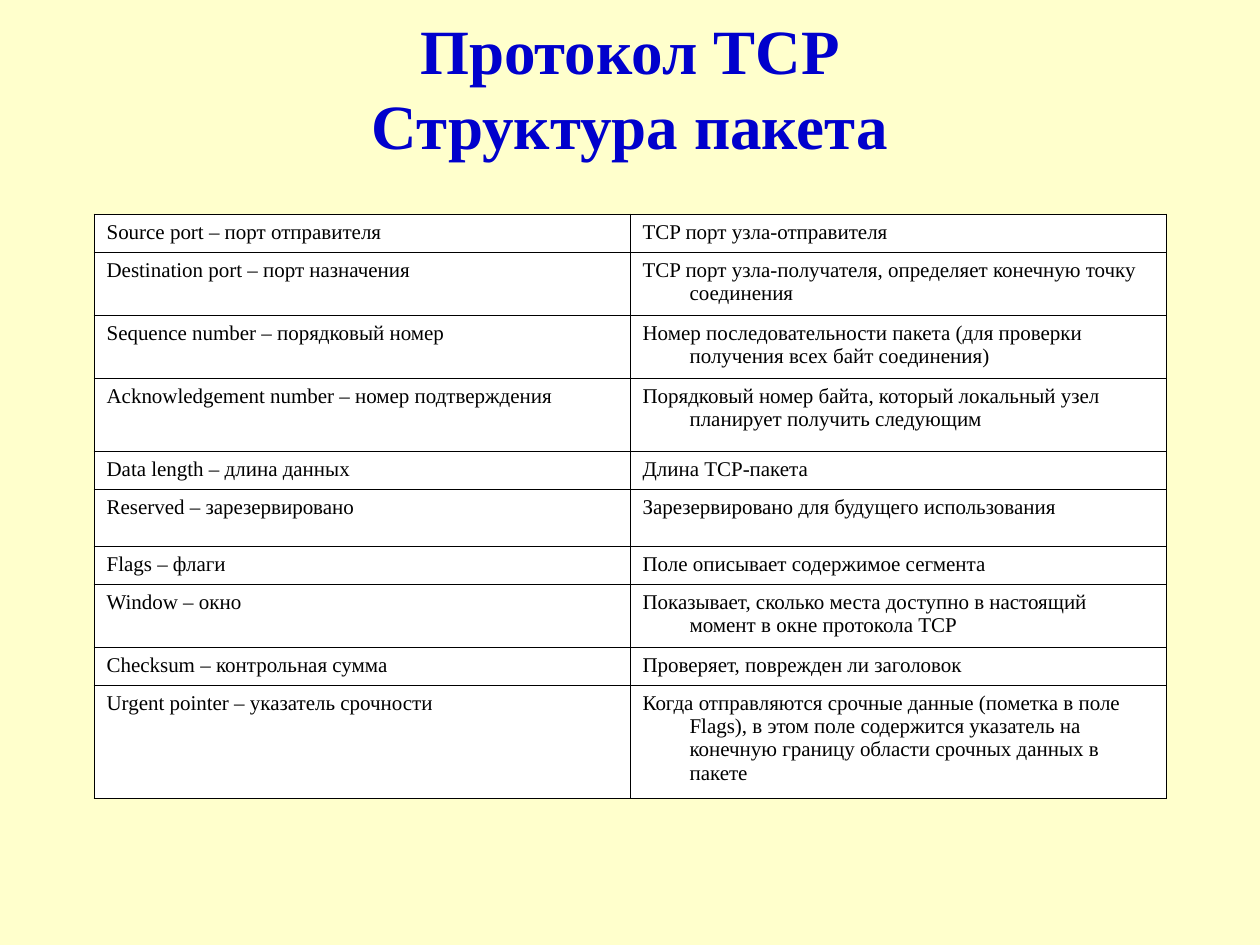
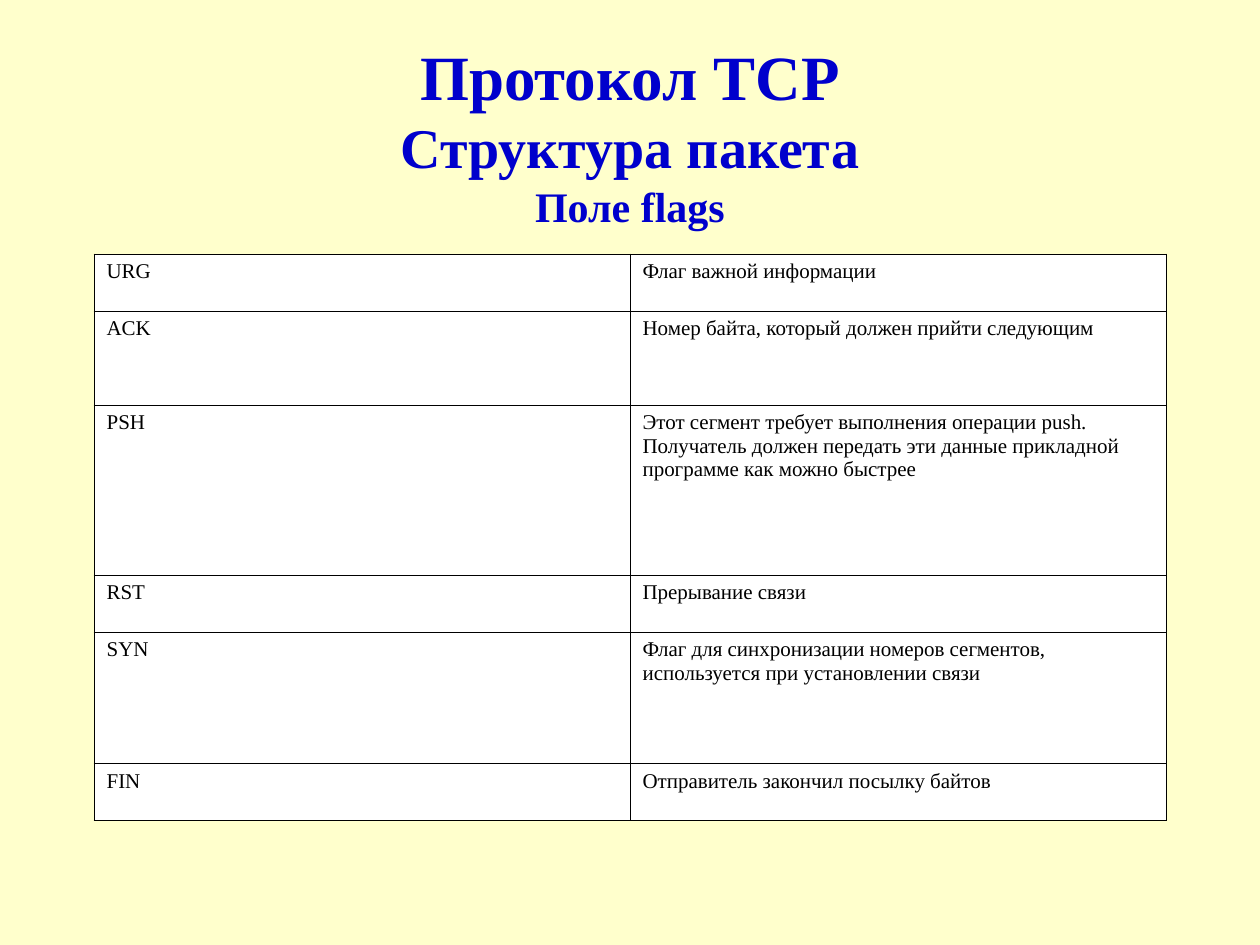
"""Build two slides that describe the TCP packet structure and its flags."""
import pptx
import pptx.dml.color
import pptx.enum.text
import pptx.oxml
import pptx.oxml.ns
import pptx.util

PIXELS_PER_INCH = 126
PAGE_WIDTH, PAGE_HEIGHT = 1260, 945
MARGIN = 94
COLUMN_WIDTH = 536
HANGING_INDENT = 47
FONT = "Times New Roman"
BACKGROUND, TITLE_COLOR = "FFFFCC", "0000CC"
CELL_FILL, INK = "FFFFFF", "000000"
BORDER_POINTS = 0.45

HEADER_TITLE = [("Протокол TCP", 36), ("Структура пакета", 36)]
HEADER_FIELDS = [
    (38, "Source port – порт отправителя", "TCP порт узла-отправителя"),
    (63, "Destination port – порт назначения",
     "TCP порт узла-получателя, определяет конечную точку соединения"),
    (61, "Sequence number – порядковый номер",
     "Номер последовательности пакета (для проверки получения всех байт соединения)"),
    (73, "Acknowledgement number – номер подтверждения",
     "Порядковый номер байта, который локальный узел планирует получить следующим"),
    (38, "Data length – длина данных", "Длина TCP-пакета"),
    (57, "Reserved – зарезервировано", "Зарезервировано для будущего использования"),
    (38, "Flags – флаги", "Поле описывает содержимое сегмента"),
    (61, "Window – окно",
     "Показывает, сколько места доступно в настоящий момент в окне протокола TCP"),
    (38, "Checksum – контрольная сумма", "Проверяет, поврежден ли заголовок"),
    (113, "Urgent pointer – указатель срочности",
     "Когда отправляются срочные данные (пометка в поле Flags), в этом поле "
     "содержится указатель на конечную границу области срочных данных в пакете"),
]

FLAGS_TITLE = [("Протокол TCP", 36), ("Структура пакета", 32), ("Поле flags", 24)]
FLAGS = [
    (57, "URG", "Флаг важной информации"),
    (94, "ACK", "Номер байта, который должен прийти следующим"),
    (170, "PSH",
     "Этот сегмент требует выполнения операции push. Получатель должен передать "
     "эти данные прикладной программе как можно быстрее"),
    (57, "RST", "Прерывание связи"),
    (132, "SYN",
     "Флаг для синхронизации номеров сегментов, используется при установлении связи"),
    (57, "FIN", "Отправитель закончил посылку байтов"),
]


def px(length):
    """Turn a length in pixels into EMU."""
    return pptx.util.Emu(round(length * 914400 / PIXELS_PER_INCH))


def rgb(color):
    """Turn a hex string into a colour."""
    return pptx.dml.color.RGBColor.from_string(color)


def style_text(paragraph, size, color, bold=False):
    """Set the font of a whole paragraph."""
    font = paragraph.font
    font.name, font.size, font.bold = FONT, pptx.util.Pt(size), bold
    font.color.rgb = rgb(color)


def add_page(deck):
    """Add a blank page with the shared background."""
    page = deck.slides.add_slide(deck.slide_layouts[6])
    page.background.fill.solid()
    page.background.fill.fore_color.rgb = rgb(BACKGROUND)
    return page


def add_title(page, top, height, lines):
    """Add a centred title with one paragraph for each (text, size) line."""
    box = page.shapes.add_textbox(px(MARGIN), px(top), px(2 * COLUMN_WIDTH), px(height))
    frame = box.text_frame
    frame.word_wrap = True
    frame.text = "\n".join(text for text, size in lines)
    for paragraph, (text, size) in zip(frame.paragraphs, lines):
        paragraph.alignment = pptx.enum.text.PP_ALIGN.CENTER
        style_text(paragraph, size, TITLE_COLOR, bold=True)


def add_borders(cell):
    """Draw a thin line on all four sides of a cell."""
    properties = cell._tc.get_or_add_tcPr()
    for side in ("lnL", "lnR", "lnT", "lnB"):
        properties.append(pptx.oxml.parse_xml(
            f'<a:{side} {pptx.oxml.ns.nsdecls("a")} w="{pptx.util.Pt(BORDER_POINTS)}">'
            f'<a:solidFill><a:srgbClr val="{INK}"/></a:solidFill></a:{side}>'))


def fill_cell(cell, text, indent):
    """Write the text of a cell and style it."""
    add_borders(cell)
    cell.fill.solid()
    cell.fill.fore_color.rgb = rgb(CELL_FILL)
    cell.text = text
    paragraph = cell.text_frame.paragraphs[0]
    style_text(paragraph, 12, INK)
    properties = paragraph._p.get_or_add_pPr()
    properties.set("marL", str(px(indent)))
    properties.set("indent", str(px(-indent)))


def add_definitions(page, top, rows, indent=0):
    """Add a two-column table from (height, term, meaning) rows."""
    height = sum(row[0] for row in rows)
    table = page.shapes.add_table(len(rows), 2, px(MARGIN), px(top),
                                  px(2 * COLUMN_WIDTH), px(height)).table
    table.first_row = table.horz_banding = False
    for column in table.columns:
        column.width = px(COLUMN_WIDTH)
    for table_row, (row_height, *texts) in zip(table.rows, rows):
        table_row.height = px(row_height)
        for cell, text in zip(table_row.cells, texts):
            fill_cell(cell, text, indent)


def main():
    """Build and save the deck."""
    deck = pptx.Presentation()
    deck.slide_width, deck.slide_height = px(PAGE_WIDTH), px(PAGE_HEIGHT)

    page = add_page(deck)
    add_title(page, 5, 164, HEADER_TITLE)
    add_definitions(page, 214, HEADER_FIELDS, HANGING_INDENT)

    page = add_page(deck)
    add_title(page, 31, 206, FLAGS_TITLE)
    add_definitions(page, 254, FLAGS)

    deck.save("out.pptx")


if __name__ == "__main__":
    main()
